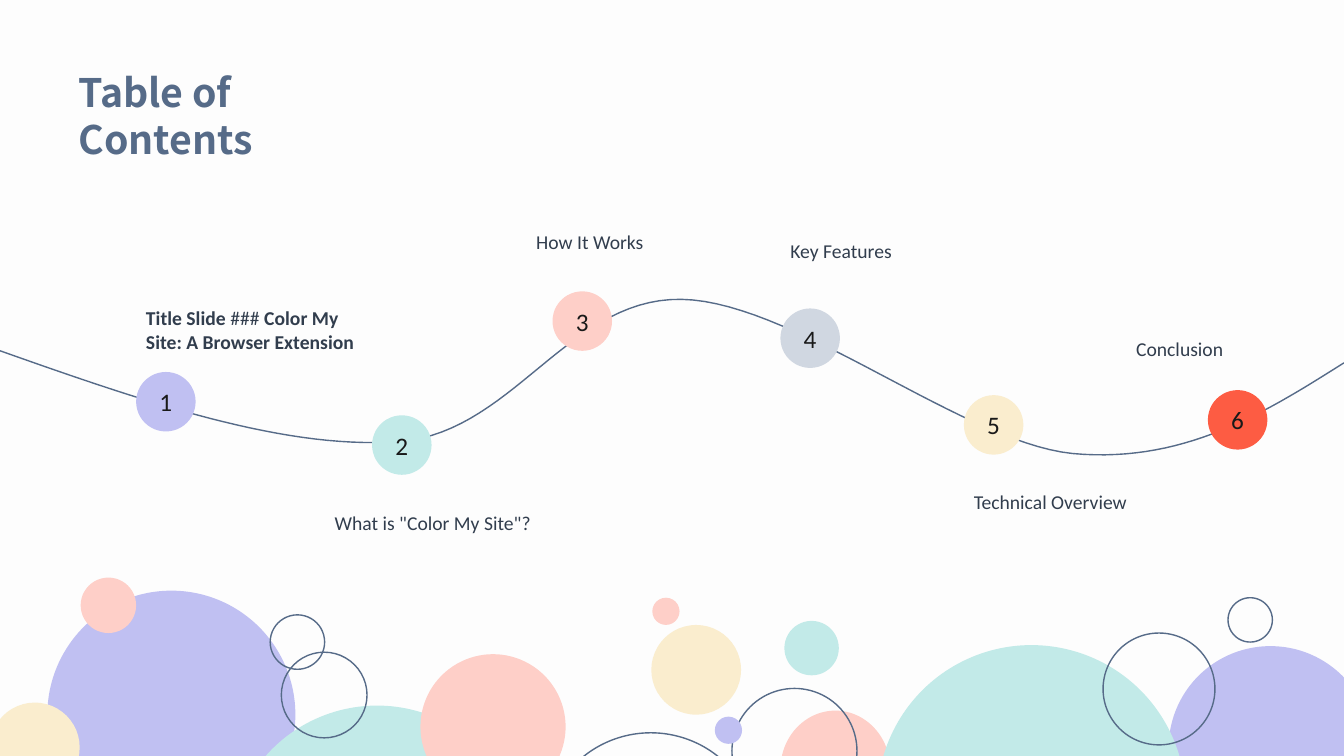
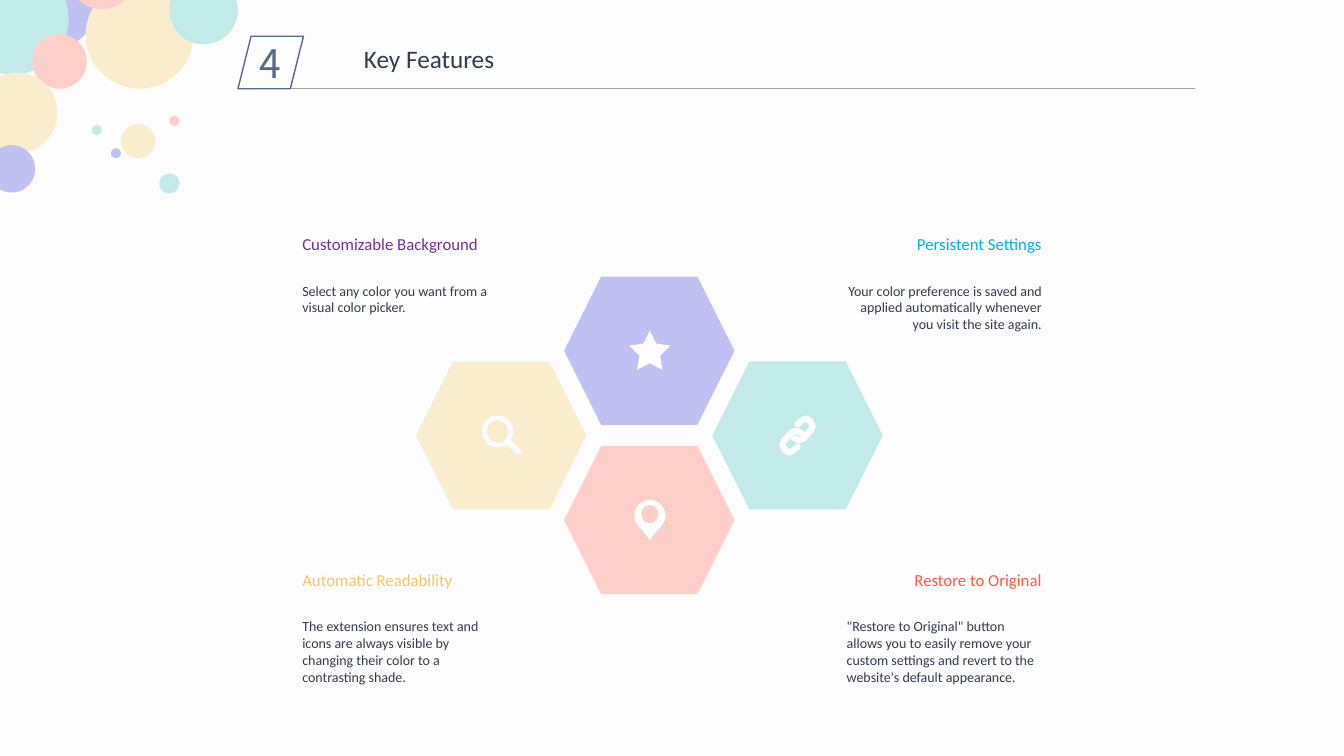
from lxml import etree
from pptx import Presentation
from pptx.dml.color import RGBColor
from pptx.enum.shapes import MSO_CONNECTOR, MSO_SHAPE
from pptx.enum.text import MSO_ANCHOR, MSO_AUTO_SIZE, PP_ALIGN
from pptx.oxml.ns import qn
from pptx.util import Inches, Pt

PAPER = RGBColor(0xFD, 0xFD, 0xFD)
SLATE = RGBColor(0x56, 0x6B, 0x88)
INK = RGBColor(0x31, 0x3D, 0x4D)
BLACK = RGBColor(0x19, 0x19, 0x19)
RULE_GREY = RGBColor(0xA4, 0xA4, 0xA4)
PINK = RGBColor(0xFE, 0xCF, 0xC8)
LILAC = RGBColor(0xC0, 0xC0, 0xF2)
MINT = RGBColor(0xC2, 0xEA, 0xE8)
CREAM = RGBColor(0xFA, 0xED, 0xCE)
MIST = RGBColor(0xD0, 0xD7, 0xE1)
CORAL = RGBColor(0xFD, 0x5C, 0x43)
PURPLE = RGBColor(0x70, 0x30, 0xA0)
SKY = RGBColor(0x00, 0xB0, 0xF0)
GOLD = RGBColor(0xEF, 0xC7, 0x67)
BODY_FONT, DISPLAY_FONT = "Calibri", "Noto Sans CJK KR"

CONTENTS_BUBBLES = [
    (7.74, 7.05, 1.09, 1.17, PINK),
    (11.59, 6.41, 2.02, 2.02, LILAC),
    (0.47, 5.86, 2.46, 2.46, LILAC),
    (2.27, 7, 2.94, 2.94, MINT),
    (4.17, 6.49, 1.44, 1.44, PINK),
    (5.39, 7.27, 2.13, 2.13, None),
    (2.79, 6.47, 0.85, 0.85, None),
    (0.8, 5.73, 0.55, 0.55, PINK),
    (7.26, 6.83, 1.24, 1.24, None),
    (8.7, 6.4, 3.06, 3.06, MINT),
    (10.94, 6.28, 1.11, 1.11, None),
    (12.18, 5.93, 0.44, 0.44, None),
    (6.46, 6.2, 0.89, 0.89, CREAM),
    (7.09, 7.11, 0.27, 0.27, LILAC),
    (6.47, 5.93, 0.27, 0.27, PINK),
    (7.78, 6.16, 0.54, 0.54, MINT),
    (2.68, 6.1, 0.54, 0.54, None),
    (-0.1, 6.97, 0.89, 0.89, CREAM),
]
FEATURE_BUBBLES = [
    (0.04, -0.44, 0.93, 0.93, LILAC),
    (-0.43, -0.37, 1.11, 1.11, MINT),
    (0.32, 0.34, 0.54, 0.54, PINK),
    (-0.23, 0.72, 0.8, 0.8, CREAM),
    (0.85, -0.19, 1.07, 1.07, CREAM),
    (0.67, -0.59, 0.68, 0.68, PINK),
    (-0.12, 1.44, 0.47, 0.47, LILAC),
    (1.2, 1.23, 0.34, 0.34, CREAM),
    (1.1, 1.47, 0.1, 0.1, LILAC),
    (0.91, 1.24, 0.1, 0.1, MINT),
    (1.68, 1.15, 0.1, 0.1, PINK),
    (1.58, 1.72, 0.2, 0.2, MINT),
    (1.68, -0.24, 0.68, 0.68, MINT),
]

ROAD_START = (0, 3.48)
ROAD_BENDS = [
    ((1.41, 3.98), (2.83, 4.47), (3.96, 4.38)),
    ((5.08, 4.3), (5.64, 2.95), (6.76, 2.97)),
    ((7.87, 2.99), (9.55, 4.39), (10.64, 4.5)),
    ((11.74, 4.6), (12.54, 4.1), (13.33, 3.6)),
]
STOP_SIZE = 0.59
STOPS = [
    ((1.35, 3.69), LILAC, (1.35, 2.99, 2.4, 0.57),
     [("Title Slide", True), (" ### ", False), ("Color My Site: A Browser Extension", True)]),
    ((3.69, 4.12), MINT, (3.22, 5.02, 2.5, 0.34), [('What is "Color My Site"?', False)]),
    ((5.48, 2.89), PINK, (5.22, 2.23, 1.54, 0.34), [("How It Works", False)]),
    ((7.74, 3.06), MIST, (7.74, 2.32, 2.03, 0.34), [("Key Features", False)]),
    ((9.56, 3.92), CREAM, (9.56, 4.81, 2.03, 0.34), [("Technical Overview", False)]),
    ((11.98, 3.87), CORAL, (11.17, 3.29, 2.03, 0.34), [("Conclusion", False)]),
]

HEX_W, HEX_H = 1.69, 1.47
HEX_CENTRE = (6.44, 4.32)
HEX_STEP = (1.47, 0.84)
HEXAGONS = [(0, -1, LILAC), (0, 1, PINK), (-1, 0, CREAM), (1, 0, MINT)]

LEFT, RIGHT = PP_ALIGN.LEFT, PP_ALIGN.RIGHT
FEATURE_X, FEATURE_Y = (2.9, 8.3), (2.27, 5.6)
FEATURE_W, BODY_DROP = 2.13, 0.48
FEATURES = [
    (0, 0, "Customizable Background", PURPLE, LEFT, 0.44,
     "Select any color you want from a visual color picker."),
    (0, 1, "Automatic Readability", GOLD, LEFT, 0.77,
     "The extension ensures text and icons are always visible by changing their "
     "color to a contrasting shade."),
    (1, 0, "Persistent Settings", SKY, RIGHT, 0.61,
     "Your color preference is saved and applied automatically whenever you visit "
     "the site again."),
    (1, 1, "Restore to Original", CORAL, LEFT, 0.77,
     '"Restore to Original" button allows you to easily remove your custom settings '
     "and revert to the website's default appearance."),
]

GLASS_HANDLE = [(5.04, 4.38), (5.14, 4.48)]
LINK_HALF = [(7.95, 4.3), (7.9, 4.27), (7.85, 4.29), (7.78, 4.37), (7.76, 4.41),
             (7.78, 4.46), (7.83, 4.49), (7.88, 4.46), (7.91, 4.43)]
LINK_CENTRE = (7.91, 4.32)


def inches(*lengths):
    return [Inches(length) for length in lengths]


def paint(part, fill=None, line=None, width=1):
    part.shadow.inherit = False
    if fill is None:
        part.fill.background()
    else:
        part.fill.solid()
        part.fill.fore_color.rgb = fill
    if line is None:
        part.line.fill.background()
    else:
        part.line.color.rgb = line
        part.line.width = Pt(width)


def add_part(slide, preset, box, fill=None, line=None):
    part = slide.shapes.add_shape(preset, *inches(*box))
    paint(part, fill, line)
    return part


def write(part, pieces, size, color, font=BODY_FONT, align=LEFT, anchor=MSO_ANCHOR.TOP):
    frame = part.text_frame
    frame.word_wrap = True
    frame.vertical_anchor = anchor
    paragraph = frame.paragraphs[0]
    paragraph.alignment = align
    for words, bold in pieces:
        run = paragraph.add_run()
        run.text = words
        run.font.size, run.font.name, run.font.bold = Pt(size), font, bold
        run.font.color.rgb = color


def add_label(slide, box, pieces, size, color, align=LEFT):
    label = slide.shapes.add_textbox(*inches(*box))
    write(label, pieces, size, color, align=align)
    label.text_frame.auto_size = MSO_AUTO_SIZE.SHAPE_TO_FIT_TEXT


def add_titled_slide(deck, words, box, size, color, font, bold, bubbles):
    slide = deck.slides.add_slide(deck.slide_layouts[5])
    title = slide.shapes.title
    title.left, title.top, title.width, title.height = inches(*box)
    write(title, [(words, bold)], size, color, font)
    title.text_frame.auto_size = MSO_AUTO_SIZE.NONE
    for *bubble, color in bubbles:
        add_part(slide, MSO_SHAPE.OVAL, bubble, color, None if color else SLATE)
    return slide


def add_stroke(slide, points, color, width):
    start, *rest = [tuple(inches(*point)) for point in points]
    outline = slide.shapes.build_freeform(*start)
    outline.add_line_segments(rest, close=False)
    stroke = outline.convert_to_shape()
    paint(stroke, None, color, width)
    line = stroke._element.spPr.find(qn("a:ln"))
    line.set("cap", "rnd")
    etree.SubElement(line, qn("a:round"))


def bend_points(start, bends, steps=30):
    points = [start]
    for first, second, end in bends:
        anchors = (points[-1], first, second, end)
        for step in range(1, steps + 1):
            t = step / steps
            weights = ((1 - t) ** 3, 3 * t * (1 - t) ** 2, 3 * t * t * (1 - t), t ** 3)
            points.append(tuple(sum(w * a[axis] for w, a in zip(weights, anchors))
                                for axis in (0, 1)))
    return points


def build_contents(deck):
    slide = add_titled_slide(deck, "Table of Contents", (0.68, 0.63, 3.4, 1.1), 28, SLATE,
                             DISPLAY_FONT, True, CONTENTS_BUBBLES)
    add_stroke(slide, bend_points(ROAD_START, ROAD_BENDS), SLATE, 1)
    for number, (corner, color, label_box, pieces) in enumerate(STOPS, 1):
        stop = add_part(slide, MSO_SHAPE.OVAL, (*corner, STOP_SIZE, STOP_SIZE), color)
        write(stop, [(str(number), False)], 18, BLACK,
              align=PP_ALIGN.CENTER, anchor=MSO_ANCHOR.MIDDLE)
        add_label(slide, label_box, pieces, 14, INK)


def add_icons(slide):
    star = add_part(slide, MSO_SHAPE.STAR_5_POINT, (6.24, 3.28, 0.41, 0.39), PAPER)
    star.adjustments[0] = 0.25
    lens = add_part(slide, MSO_SHAPE.DONUT, (4.78, 4.12, 0.31, 0.32), PAPER)
    lens.adjustments[0] = 0.16
    add_stroke(slide, GLASS_HANDLE, PAPER, 4.5)
    pin = add_part(slide, MSO_SHAPE.TEAR, (6.29, 4.96, 0.31, 0.31), PAPER)
    pin.adjustments[0] = 1.12
    pin.rotation = 135
    add_part(slide, MSO_SHAPE.OVAL, (6.36, 5.01, 0.17, 0.18), PINK)
    centre_x, centre_y = LINK_CENTRE
    turned_half = [(2 * centre_x - x, 2 * centre_y - y) for x, y in LINK_HALF]
    for half in (LINK_HALF, turned_half):
        add_stroke(slide, half, PAPER, 4.5)


def build_features(deck):
    slide = add_titled_slide(deck, "Key Features", (3.51, 0.38, 5.13, 0.4), 18, INK,
                             BODY_FONT, False, FEATURE_BUBBLES)
    rule = slide.shapes.add_connector(MSO_CONNECTOR.STRAIGHT, *inches(2.84, 0.88, 11.85, 0.88))
    rule.line.color.rgb = RULE_GREY
    rule.line.width = Pt(0.5)
    etree.SubElement(rule._element.spPr, qn("a:effectLst"))
    badge = add_part(slide, MSO_SHAPE.PARALLELOGRAM, (2.36, 0.36, 0.65, 0.52), line=SLATE)
    write(badge, [("4", False)], 28, SLATE, DISPLAY_FONT, PP_ALIGN.CENTER, MSO_ANCHOR.MIDDLE)
    for column, row, color in HEXAGONS:
        left = HEX_CENTRE[0] + column * HEX_STEP[0] - HEX_W / 2
        top = HEX_CENTRE[1] + row * HEX_STEP[1] - HEX_H / 2
        hexagon = add_part(slide, MSO_SHAPE.HEXAGON, (left, top, HEX_W, HEX_H), color)
        hexagon.adjustments[0] = 0.25
    add_icons(slide)
    for column, row, heading, color, body_align, body_h, body in FEATURES:
        left, top = FEATURE_X[column], FEATURE_Y[row]
        add_label(slide, (left, top, FEATURE_W, 0.3), [(heading, False)], 12, color,
                  (LEFT, RIGHT)[column])
        add_label(slide, (left, top + BODY_DROP, FEATURE_W, body_h), [(body, False)], 10, INK,
                  body_align)


def main():
    deck = Presentation()
    deck.slide_width, deck.slide_height = inches(13.33, 7.5)
    backdrop = deck.slide_master.background.fill
    backdrop.solid()
    backdrop.fore_color.rgb = PAPER
    build_contents(deck)
    build_features(deck)
    deck.save("out.pptx")


if __name__ == "__main__":
    main()
